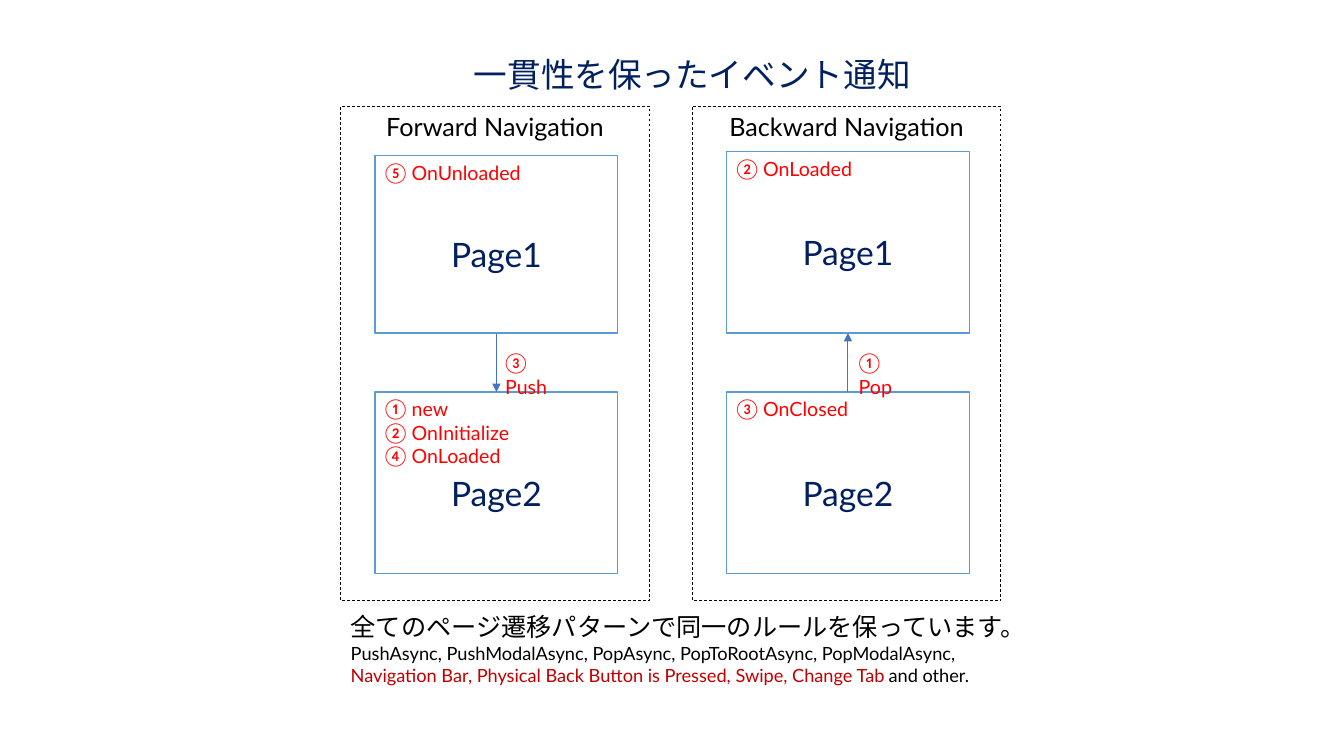
from lxml.etree import SubElement
from pptx import Presentation
from pptx.dml.color import RGBColor
from pptx.enum.dml import MSO_LINE
from pptx.enum.shapes import MSO_CONNECTOR, MSO_SHAPE
from pptx.enum.text import MSO_ANCHOR, PP_ALIGN
from pptx.oxml.ns import qn
from pptx.util import Cm, Pt

FONT = "Lato"
BLACK = RGBColor(0x00, 0x00, 0x00)
NAVY = RGBColor(0x00, 0x20, 0x60)
RED = RGBColor(0xFF, 0x00, 0x00)
DARK_RED = RGBColor(0xC0, 0x00, 0x00)
PAGE_BLUE = RGBColor(0x5B, 0x9B, 0xD5)
ARROW_BLUE = RGBColor(0x44, 0x72, 0xC4)

PANEL_LEFT, PANEL_TOP = 8.59, 2.67
PANEL_WIDTH, PANEL_HEIGHT = 7.77, 12.47
PANEL_STEP = 8.86
PAGE_INDENT, PAGE_WIDTH, PAGE_HEIGHT = 0.86, 6.12, 4.57
FIRST_BOTTOM, SECOND_TOP = 5.72, 7.21


def add_span(para, text, size=14, color=BLACK, align=PP_ALIGN.LEFT, spacing=None):
    para.alignment = align
    if spacing:
        para.line_spacing = spacing
    span = para.add_run()
    span.text = text
    span.font.name = FONT
    span.font.size = Pt(size)
    span.font.color.rgb = color


def add_box(slide, left, top, width, height, line_color, line_width, anchor):
    box = slide.shapes.add_shape(
        MSO_SHAPE.RECTANGLE, Cm(left), Cm(top), Cm(width), Cm(height))
    box.shadow.inherit = False
    box.fill.background()
    box.line.color.rgb = line_color
    box.line.width = Pt(line_width)
    box.text_frame.word_wrap = True
    box.text_frame.vertical_anchor = anchor
    return box


def add_lines(slide, left, top, width, height, lines):
    box = slide.shapes.add_textbox(Cm(left), Cm(top), Cm(width), Cm(height))
    frame = box.text_frame
    frame.word_wrap = True
    for index, spans in enumerate(lines):
        para = frame.add_paragraph() if index else frame.paragraphs[0]
        for text, size, color in spans:
            add_span(para, text, size=size, color=color)
    return box


def add_page(slide, left, top, height, name, events):
    box = add_box(slide, left, top, PAGE_WIDTH, height, PAGE_BLUE, 1, MSO_ANCHOR.MIDDLE)
    add_span(box.text_frame.paragraphs[0], name, size=24, color=NAVY,
             align=PP_ALIGN.CENTER, spacing=1.5)
    add_lines(slide, left, top, 4.5, 0.6 * len(events) + 0.4,
              [[(event, 14, RED)] for event in events])


def add_arrow(slide, x, start, end):
    arrow = slide.shapes.add_connector(
        MSO_CONNECTOR.STRAIGHT, Cm(x), Cm(start), Cm(x), Cm(end))
    arrow.line.color.rgb = ARROW_BLUE
    arrow.line.width = Pt(0.75)
    SubElement(arrow.line._get_or_add_ln(), qn("a:tailEnd"), type="triangle")
    SubElement(arrow._element.spPr, qn("a:effectLst"))


def add_panel(slide, left, top, heading, first_events, second_events,
              action, action_left, first_height, forward):
    panel = add_box(slide, left, top, PANEL_WIDTH, PANEL_HEIGHT, BLACK, 0.5, MSO_ANCHOR.TOP)
    panel.line.dash_style = MSO_LINE.DASH
    add_span(panel.text_frame.paragraphs[0], heading, size=18, align=PP_ALIGN.CENTER)

    page_left = left + PAGE_INDENT
    first_bottom, second_top = top + FIRST_BOTTOM, top + SECOND_TOP
    add_page(slide, page_left, second_top, PAGE_HEIGHT, "Page2", second_events)
    ends = (first_bottom, second_top) if forward else (second_top, first_bottom)
    add_arrow(slide, page_left + PAGE_WIDTH / 2, *ends)
    label = add_lines(slide, left + action_left, top + 6.05, 2, 0.86, [[(action, 14, RED)]])
    label.text_frame.margin_right = Cm(0.5)
    add_page(slide, page_left, first_bottom - first_height, first_height,
             "Page1", first_events)


def add_title(slide, left, top, width, height):
    title = slide.shapes.title
    title.left, title.top, title.width, title.height = map(Cm, (left, top, width, height))
    title.text_frame.vertical_anchor = MSO_ANCHOR.MIDDLE
    add_span(title.text_frame.paragraphs[0], "一貫性を保ったイベント通知",
             size=24, color=NAVY, align=PP_ALIGN.CENTER)


def add_summary(slide, left, top, width, height):
    add_lines(slide, left, top, width, height, [
        [("全てのページ遷移パターンで同一のルールを保っています。", 18, BLACK)],
        [("PushAsync, PushModalAsync, PopAsync, PopToRootAsync, PopModalAsync,", 13, BLACK)],
        [("Navigation Bar, Physical Back Button is Pressed, Swipe, Change Tab", 13, DARK_RED),
         (" and other.", 13, BLACK)],
    ])


deck = Presentation()
deck.slide_width, deck.slide_height = Cm(33.87), Cm(19.05)
slide = deck.slides.add_slide(deck.slide_layouts[5])
add_title(slide, 11.63, 1.24, 11.63, 1.27)
add_panel(slide, PANEL_LEFT, PANEL_TOP, "Forward Navigation",
          ["⑤ OnUnloaded"], ["① new", "② OnInitialize", "④ OnLoaded"],
          "③ Push", 3.89, 4.47, forward=True)
add_panel(slide, PANEL_LEFT + PANEL_STEP, PANEL_TOP, "Backward Navigation",
          ["② OnLoaded"], ["③ OnClosed"],
          "① Pop", 3.94, PAGE_HEIGHT, forward=False)
add_summary(slide, PANEL_LEFT, 15.29, 17.98, 2.13)
deck.save("out.pptx")
